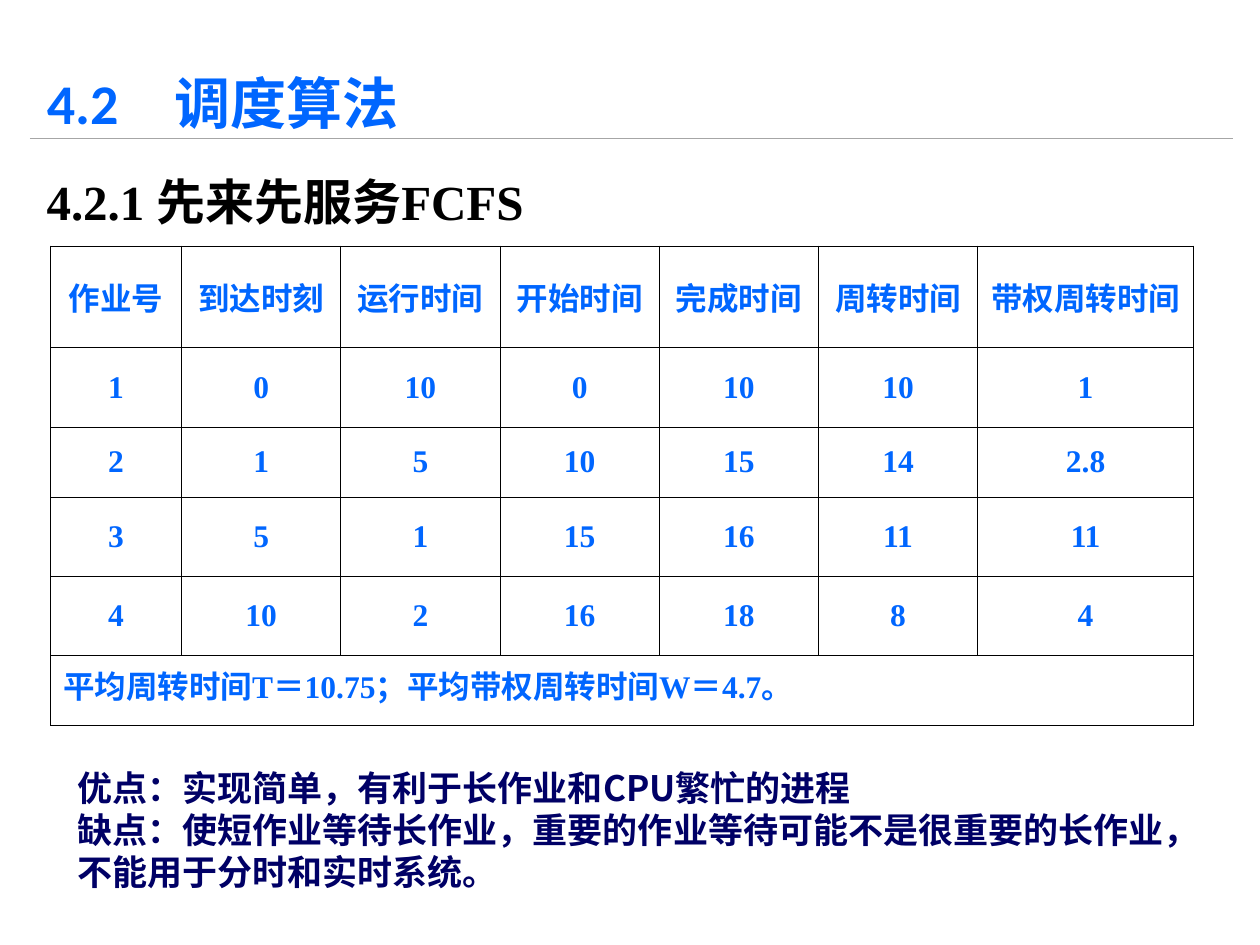
"""Builds the FCFS scheduling slide with its table of job times."""
from dataclasses import dataclass
from typing import Any

from lxml.etree import SubElement
from pptx import Presentation
from pptx.dml.color import RGBColor
from pptx.enum.shapes import MSO_CONNECTOR as Connector
from pptx.enum.text import MSO_ANCHOR as Anchor, MSO_AUTO_SIZE as AutoSize, PP_ALIGN as Align
from pptx.oxml import parse_xml
from pptx.oxml.ns import nsdecls, qn
from pptx.util import Cm, Pt

COLORS = {"blue": "0066FF", "navy": "000066", "black": "000000", "rule": "A6A6A6"}
CJK_FONT = "Noto Sans CJK SC"
COLUMN_WIDTHS = [2.64] + [3.21] * 5 + [4.35]
ROW_HEIGHTS = [2.04, 1.62, 1.4, 1.6, 1.6, 1.4]
JOB_ROWS = [
    ["作业号", "到达时刻", "运行时间", "开始时间", "完成时间", "周转时间", "带权周转时间"],
    ["1", "0", "10", "0", "10", "10", "1"],
    ["2", "1", "5", "10", "15", "14", "2.8"],
    ["3", "5", "1", "15", "16", "11", "11"],
    ["4", "10", "2", "16", "18", "8", "4"],
]
AVERAGES = "平均周转时间T＝10.75；平均带权周转时间W＝4.7。"


@dataclass(frozen=True)
class TextStyle:
    size: float
    font: str
    color: str
    align: Align = Align.LEFT
    spacing: float = 1.0


@dataclass(frozen=True)
class Block:
    left: float
    top: float
    width: float
    height: float
    anchor: Anchor
    style: TextStyle
    lines: tuple[str, ...]


TITLE = Block(0.69, 1.52, 11.4, 1.37, Anchor.BOTTOM,
              TextStyle(32, "Calibri", "blue", spacing=0.9), ("4.2\u3000调度算法",))
HEADING = Block(0.69, 3.33, 22.8, 1.45, Anchor.TOP,
                TextStyle(28, "Times New Roman", "black", Align.JUSTIFY), ("4.2.1 先来先服务FCFS",))
REMARKS = Block(1.3, 15.32, 23.42, 2.79, Anchor.MIDDLE, TextStyle(20, CJK_FONT, "navy"), (
    "优点：实现简单，有利于长作业和CPU繁忙的进程",
    "缺点：使短作业等待长作业，重要的作业等待可能不是很重要的长作业，不能用于分时和实时系统。",
))
CELL = TextStyle(18, "Times New Roman", "blue", Align.CENTER)
SUMMARY = TextStyle(18, "Times New Roman", "blue")


def set_values(target: Any, values: dict[str, Any]) -> None:
    """Set every named attribute on the target."""
    for name, value in values.items():
        setattr(target, name, value)


def write_line(paragraph: Any, words: str, style: TextStyle) -> None:
    """Write one unbulleted paragraph in the given style."""
    properties = paragraph._p.get_or_add_pPr()
    set_values(paragraph, {"alignment": style.align, "line_spacing": style.spacing,
                           "space_before": Pt(0), "space_after": Pt(0)})
    properties.set("marL", "0")
    properties.set("indent", "0")
    SubElement(properties, qn("a:buNone"))
    run = paragraph.add_run()
    run.text = words
    set_values(run.font, {"size": Pt(style.size), "name": style.font, "bold": True})
    run.font.color.rgb = RGBColor.from_string(COLORS[style.color])
    latin = run.font._element.find(qn("a:latin"))
    latin.addnext(parse_xml(f'<a:ea {nsdecls("a")} typeface="{CJK_FONT}"/>'))


def fill_block(shape: Any, block: Block) -> None:
    """Place a text shape and write its lines."""
    set_values(shape, {name: Cm(getattr(block, name)) for name in ("left", "top", "width", "height")})
    frame = shape.text_frame
    set_values(frame, {"word_wrap": True, "auto_size": AutoSize.NONE, "vertical_anchor": block.anchor})
    for index, words in enumerate(block.lines):
        write_line(frame.paragraphs[0] if index == 0 else frame.add_paragraph(), words, block.style)


def format_cell(cell: Any) -> None:
    """Clear the cell's fill and draw its four thin borders."""
    cell.fill.background()
    properties = cell._tc.get_or_add_tcPr()
    for position, side in enumerate(("lnL", "lnR", "lnT", "lnB")):
        properties.insert(position, parse_xml(
            f'<a:{side} {nsdecls("a")} w="{Pt(0.45)}"><a:solidFill>'
            f'<a:srgbClr val="{COLORS["black"]}"/></a:solidFill></a:{side}>'))


def add_job_table(slide: Any, left: float, top: float) -> None:
    """Add the job times and the merged row of averages."""
    table = slide.shapes.add_table(len(ROW_HEIGHTS), len(COLUMN_WIDTHS), Cm(left), Cm(top),
                                   Cm(sum(COLUMN_WIDTHS)), Cm(sum(ROW_HEIGHTS))).table
    set_values(table, {"first_row": False, "horz_banding": False})
    for column, width in zip(table.columns, COLUMN_WIDTHS):
        column.width = Cm(width)
    for row, height in zip(table.rows, ROW_HEIGHTS):
        row.height = Cm(height)
        for cell in row.cells:
            format_cell(cell)
    for row, job in zip(table.rows, JOB_ROWS):
        for cell, words in zip(row.cells, job):
            cell.vertical_anchor = Anchor.MIDDLE
            write_line(cell.text_frame.paragraphs[0], words, CELL)
    last = len(ROW_HEIGHTS) - 1
    averages = table.cell(last, 0)
    averages.merge(table.cell(last, len(COLUMN_WIDTHS) - 1))
    write_line(averages.text_frame.paragraphs[0], AVERAGES, SUMMARY)


def add_title_rule(slide: Any) -> None:
    """Draw the thin line under the title."""
    rule = slide.shapes.add_connector(Connector.STRAIGHT, Cm(0.6), Cm(2.79), Cm(24.85), Cm(2.79))
    rule.line.color.rgb = RGBColor.from_string(COLORS["rule"])
    rule.line.width = Pt(0.75)
    SubElement(rule._element.spPr, qn("a:effectLst"))


def main() -> None:
    """Build and save the slide."""
    deck = Presentation()
    set_values(deck, {"slide_width": Cm(25.4), "slide_height": Cm(19.05)})
    slide = deck.slides.add_slide(deck.slide_layouts[1])
    add_title_rule(slide)
    fill_block(slide.shapes.title, TITLE)
    add_job_table(slide, 1.02, 4.96)
    fill_block(slide.shapes.add_textbox(0, 0, 0, 0), HEADING)
    fill_block(slide.placeholders[1], REMARKS)
    deck.save("out.pptx")


if __name__ == "__main__":
    main()
